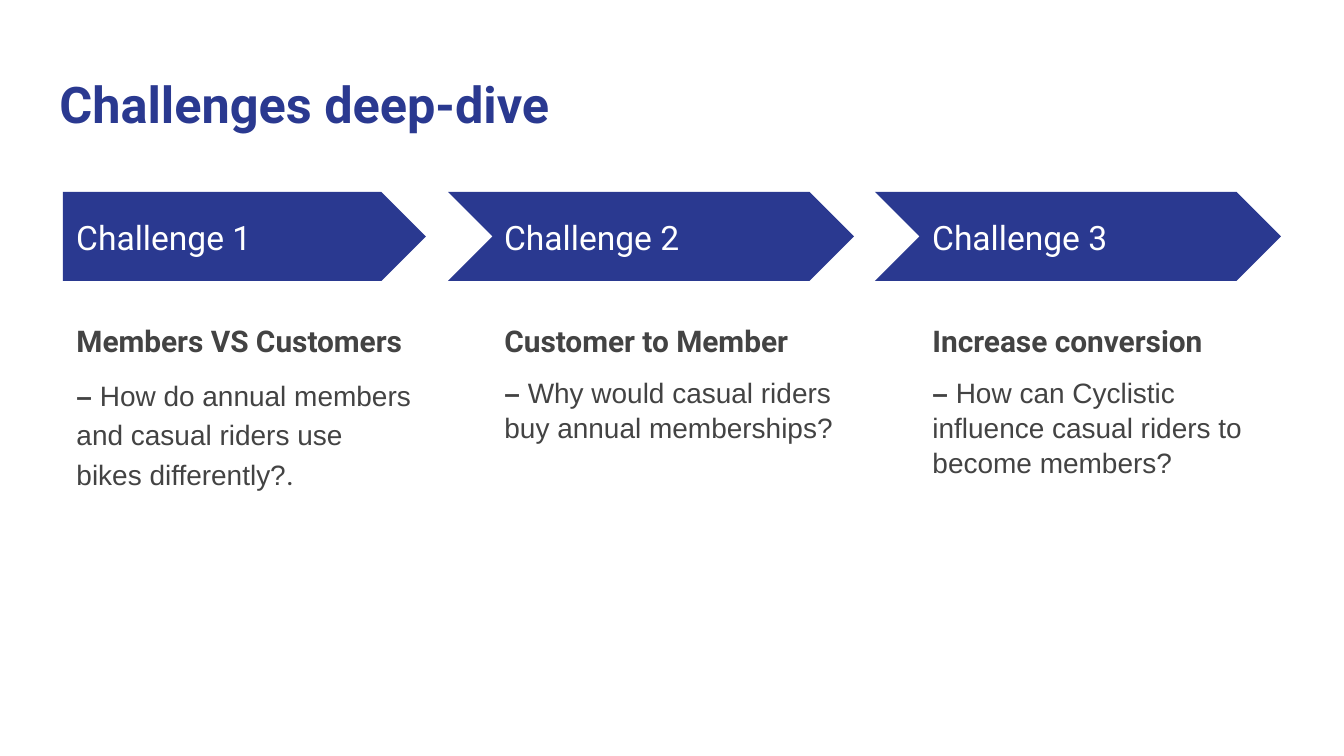
"""Build the slide with three challenges under a row of arrows."""
import pptx
import pptx.dml.color
import pptx.enum.shapes
import pptx.enum.text
import pptx.oxml.xmlchemy
import pptx.util
from lxml import etree

NAVY = pptx.dml.color.RGBColor(0x2A, 0x39, 0x90)
GREY = pptx.dml.color.RGBColor(0x43, 0x43, 0x43)
WHITE = pptx.dml.color.RGBColor(0xFF, 0xFF, 0xFF)
SCALE = 914400 / 134.4
KIND = pptx.enum.shapes.MSO_SHAPE
ANCHOR = pptx.enum.text.MSO_ANCHOR
BULLET = "{http://schemas.openxmlformats.org/drawingml/2006/main}buNone"


def place(shape, *box):
    shape.left, shape.top, shape.width, shape.height = [round(n * SCALE) for n in box]


def setup(shape, box, anchor):
    place(shape, *box)
    frame = shape.text_frame
    frame.auto_size = pptx.enum.text.MSO_AUTO_SIZE.NONE
    frame.word_wrap = True
    frame.vertical_anchor = anchor
    frame.margin_left = frame.margin_right = round(13.44 * SCALE)
    frame.margin_top = frame.margin_bottom = round(13.44 * SCALE)
    return frame


deck = pptx.Presentation()
deck.slide_width = round(1344 * SCALE)
deck.slide_height = round(756 * SCALE)
slide = deck.slides.add_slide(deck.slide_layouts[4])
holders = {item.placeholder_format.idx: item for item in slide.placeholders}

frame = setup(slide.shapes.title, (46, 60, 1253, 89), ANCHOR.TOP)
frame.text = "Challenges deep-dive"
title = frame.paragraphs[0]
title.alignment = pptx.enum.text.PP_ALIGN.LEFT
title.font.name, title.font.size = "Roboto", pptx.util.Pt(27)
title.font.bold, title.font.color.rgb = True, NAVY

columns = [
    (KIND.PENTAGON, 63, 363, 63, "Members VS Customers", 1.15, 8,
     "How do annual members and casual riders use bikes differently?", "."),
    (KIND.CHEVRON, 448, 406, 491, "Customer to Member", 1.05, 16,
     "Why would casual riders buy annual memberships?", ""),
    (KIND.CHEVRON, 875, 406, 919, "Increase conversion", 1.05, 16,
     "How can Cyclistic influence casual riders to become members?", ""),
]
for num, (kind, left, width, edge, head, line, after, ask, stop) in enumerate(columns, 1):
    arrow = slide.shapes.add_shape(kind, 0, 0, 0, 0)
    place(arrow, left, 192, width, 89)
    arrow.shadow.inherit = False
    arrow.fill.solid()
    arrow.fill.fore_color.rgb = NAVY
    arrow.line.fill.background()

    label = slide.shapes.add_textbox(0, 0, 0, 0)
    frame = setup(label, (edge, 214, 332, 46), ANCHOR.MIDDLE)
    frame.text = f"Challenge {num}"
    font = frame.paragraphs[0].font
    font.name, font.size, font.color.rgb = "Roboto", pptx.util.Pt(18), WHITE

    frame = setup(holders[num], (edge, 304, 363, 390), ANCHOR.TOP)
    frame.text = head
    first, second = frame.paragraphs[0], frame.add_paragraph()
    first.line_spacing, second.line_spacing = 1.15, line
    first.space_before = pptx.util.Pt(0)
    second.space_before, second.space_after = pptx.util.Pt(8), pptx.util.Pt(after)
    first.font.name, first.font.size = "Roboto", pptx.util.Pt(16)
    first.font.bold, first.font.color.rgb = True, GREY
    parts = [("– ", "Arial", 15, True), (ask, "Arial", 15, False), (stop, "Roboto", 16, False)]
    for text, face, size, bold in parts:
        if text:
            run = second.add_run()
            run.text = text
            run.font.name, run.font.size = face, pptx.util.Pt(size)
            run.font.bold, run.font.color.rgb = bold, GREY
    for para in frame.paragraphs:
        props = para._p.get_or_add_pPr()
        props.set("marL", "0")
        props.set("indent", "0")
        mark = etree.Element(BULLET)
        spots = [n for n, item in enumerate(props) if item.tag.endswith("defRPr")]
        props.insert(spots[0] if spots else len(props), mark)

for idx, item in holders.items():
    if idx > 3:
        item.element.getparent().remove(item.element)

deck.save("out.pptx")
